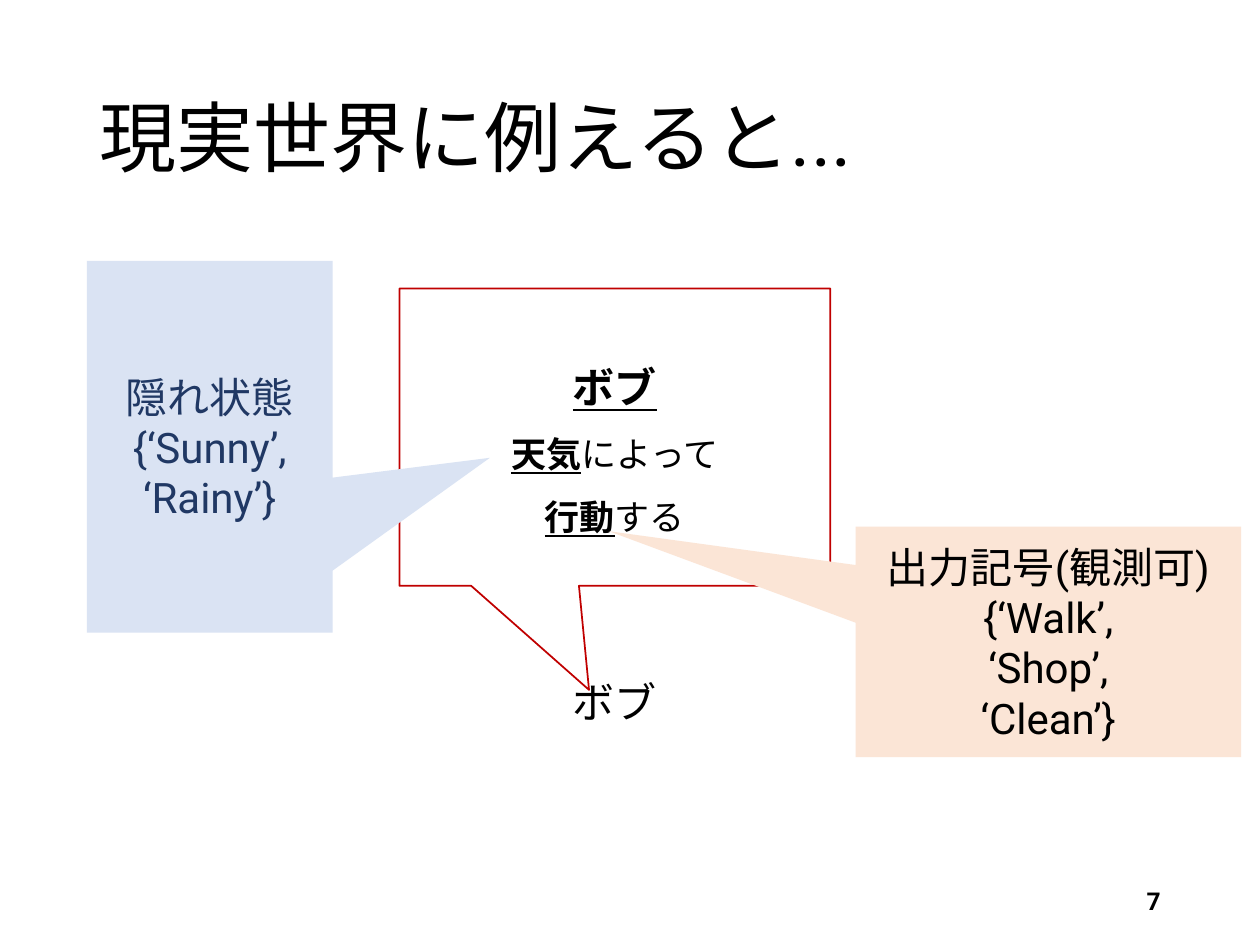
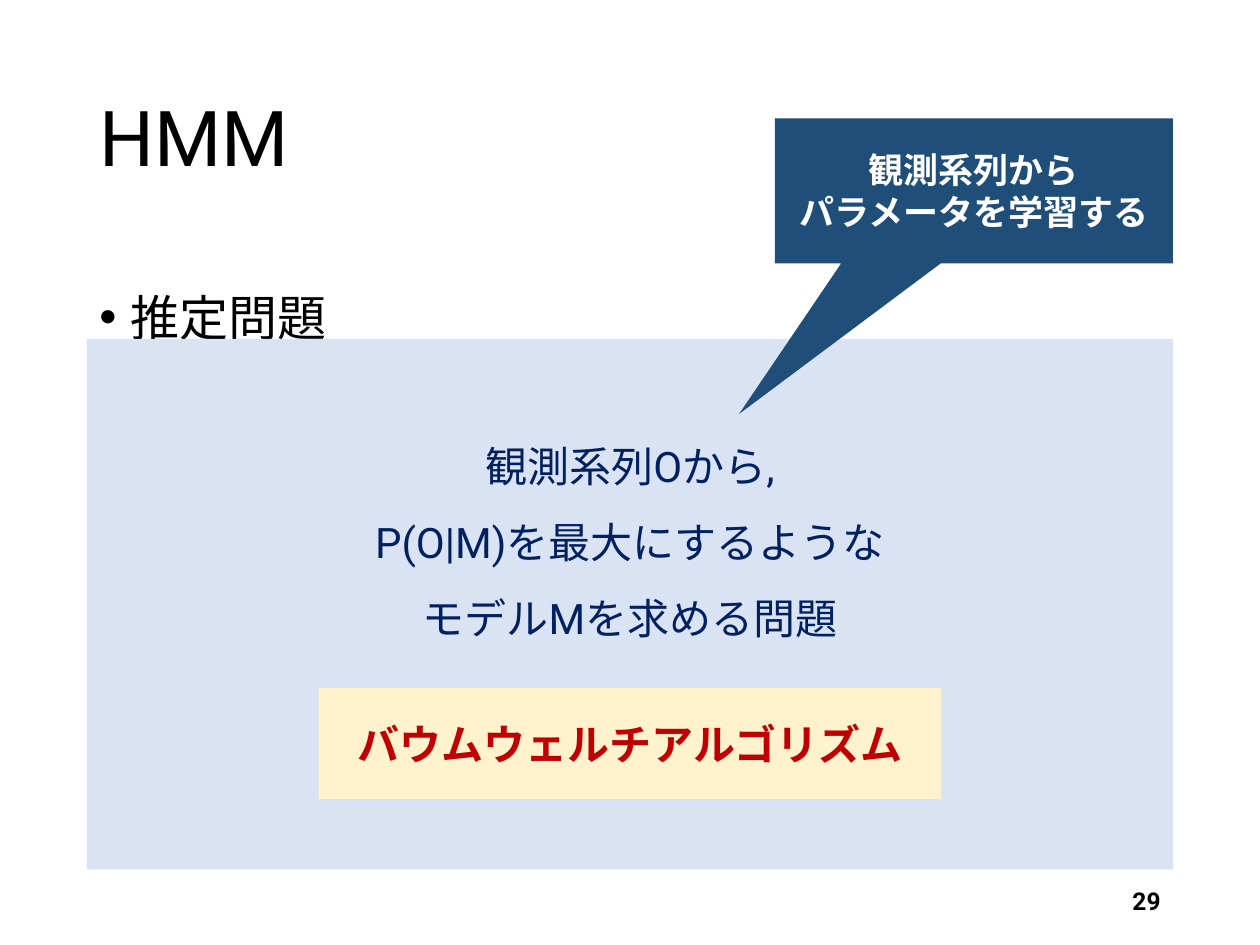
from dataclasses import dataclass

from lxml.etree import SubElement
from pptx import Presentation
from pptx.dml.color import RGBColor
from pptx.enum.lang import MSO_LANGUAGE_ID
from pptx.enum.shapes import MSO_SHAPE
from pptx.enum.text import MSO_ANCHOR, MSO_AUTO_SIZE, PP_ALIGN
from pptx.oxml.ns import qn
from pptx.util import Inches, Pt


@dataclass(frozen=True)
class Theme:
    font: str = "Roboto"
    black: str = "000000"
    white: str = "FFFFFF"
    red: str = "C00000"
    navy: str = "002060"
    slate: str = "203864"
    deep_blue: str = "1F4E79"
    pale_blue: str = "DAE3F3"
    pale_orange: str = "FBE5D6"
    pale_yellow: str = "FFF2CC"
    title: int = 44
    heading: int = 28
    body: int = 24
    small: int = 20
    footer: int = 14


THEME = Theme()
CELL = 0.1  # inches; the page is a grid of 100 columns by 75 rows
COLUMNS, ROWS = 100, 75


@dataclass(frozen=True)
class Box:
    left: float
    top: float
    width: float
    height: float

    def inner(self, column, row, width, height):
        """A box placed by columns and rows from this box's corner."""
        return Box(self.left + column, self.top + row, width, height)

    def place(self):
        sides = (self.left, self.top, self.width, self.height)
        return [Inches(side * CELL) for side in sides]


PAGE = Box(0, 0, COLUMNS, ROWS)
MARGIN = 6.9
INNER = COLUMNS - 2 * MARGIN
TITLE = PAGE.inner(MARGIN, 4, INNER, 14.5)
CONTENT = PAGE.inner(MARGIN, 20, INNER, 49)
NUMBER = PAGE.inner(COLUMNS - MARGIN - 22.5, 69.5, 22.5, 4)


# Text
def add_span(para, text, size, color, **marks):
    lines = text.split("\n")
    for index, line in enumerate(lines):
        if index:
            para.add_line_break()
        if not line:
            continue
        span = para.add_run()
        span.text = line
        values = {"name": THEME.font, "size": Pt(size),
                  "language_id": MSO_LANGUAGE_ID.JAPANESE, **marks}
        for name, value in values.items():
            setattr(span.font, name, value)
        span.font.color.rgb = RGBColor.from_string(color)


def write(shape, paragraphs, color=THEME.black, size=THEME.body,
          align=PP_ALIGN.CENTER, spacing=1.0, anchor=MSO_ANCHOR.MIDDLE):
    """Each paragraph is a string or a list of (text, format) spans."""
    frame = shape.text_frame
    settings = {"word_wrap": True, "auto_size": MSO_AUTO_SIZE.NONE,
                "vertical_anchor": anchor}
    for name, value in settings.items():
        setattr(frame, name, value)
    for index, spans in enumerate(paragraphs):
        para = frame.add_paragraph() if index else frame.paragraphs[0]
        para.alignment, para.line_spacing = align, spacing
        if isinstance(spans, str):
            spans = [(spans, {})]
        for text, changes in spans:
            add_span(para, text, **{"size": size, "color": color, **changes})
    return frame


def add_text(page, box, paragraphs, **style):
    return write(page.shapes.add_textbox(*box.place()), paragraphs, **style)


# Shapes
def add_panel(page, box, fill, paragraphs, line=None, pointer=None, **style):
    """A filled rectangle, or a callout when it has a pointer."""
    kind = MSO_SHAPE.RECTANGULAR_CALLOUT if pointer else MSO_SHAPE.RECTANGLE
    shape = page.shapes.add_shape(kind, *box.place())
    shape.shadow.inherit = False
    shape.fill.solid()
    shape.fill.fore_color.rgb = RGBColor.from_string(fill)
    if line:
        shape.line.color.rgb = RGBColor.from_string(line)
        shape.line.width = Pt(1)
    else:
        shape.line.fill.background()
    for index, share in enumerate(pointer or ()):
        shape.adjustments[index] = share
    return write(shape, paragraphs, **style)


def add_bullet(page, box, text):
    frame = add_text(page, box, [text], size=THEME.heading, spacing=1.5,
                     align=PP_ALIGN.LEFT, anchor=MSO_ANCHOR.TOP)
    para = frame.paragraphs[0]
    para.space_before = Pt(10)
    properties = para._p.get_or_add_pPr()
    properties.set("marL", str(Inches(0.25)))
    properties.set("indent", str(-Inches(0.25)))
    SubElement(properties, qn("a:buFont"), typeface="Arial")
    SubElement(properties, qn("a:buChar"), char="•")


# Shared page regions
def add_page(deck, title, number):
    page = deck.slides.add_slide(deck.slide_layouts[5])
    heading = page.shapes.title
    sides = ("left", "top", "width", "height")
    for name, value in zip(sides, TITLE.place()):
        setattr(heading, name, value)
    write(heading, [title], size=THEME.title, align=PP_ALIGN.LEFT, spacing=0.9)
    add_text(page, NUMBER, [[(str(number), {"bold": True})]],
             size=THEME.footer, align=PP_ALIGN.RIGHT)
    return page


# Bob's behaviour, with callouts for states and symbols
def fill_example(page, box):
    strong = {"bold": True, "underline": True}
    small = {"size": THEME.small}
    add_text(page, box.inner(35.8, 33.9, 12.2, 3.6), ["ボブ"])
    add_panel(page, box.inner(24.8, 2.9, 34.2, 23.6), THEME.white,
              [[("ボブ", strong)],
               [("天気", strong | small), ("によって\n", small),
                ("行動", strong | small), ("する", small)]],
              line=THEME.red, pointer=(-0.06, 0.85), spacing=1.5)
    add_panel(page, box.inner(0, 0.7, 19.5, 29.5), THEME.pale_blue,
              ["隠れ状態", "{‘Sunny’,", "‘Rainy’}"],
              pointer=(1.14, 0.03), color=THEME.slate)
    add_panel(page, box.inner(61, 21.8, 30.6, 18.3), THEME.pale_orange,
              ["出力記号(観測可)", "{‘Walk’,", "‘Shop’,", "‘Clean’}"],
              pointer=(-1.14, -0.48))


# The estimation problem and the algorithm that solves it
def fill_problem(page, box):
    add_bullet(page, box, "推定問題")
    problem = add_panel(
        page, box.inner(0, 6.9, box.width, 42.1), THEME.pale_blue,
        ["観測系列Oから,\nP(O|M)を最大にするような\nモデルMを求める問題"],
        color=THEME.navy, spacing=1.5)
    problem.margin_bottom = Inches(1.24)  # room for the algorithm
    width = 49.4
    add_panel(page, box.inner((box.width - width) / 2, 34.6, width, 8.8),
              THEME.pale_yellow,
              [[("バウムウェルチアルゴリズム", {"bold": True})]],
              color=THEME.red)
    width = 31.6
    add_panel(page, box.inner(box.width - width, -10.6, width, 11.5),
              THEME.deep_blue,
              [[("観測系列から\nパラメータを学習する", {"bold": True})]],
              pointer=(-0.59, 1.54), color=THEME.white, size=THEME.small)


def main():
    deck = Presentation()
    deck.slide_width = Inches(COLUMNS * CELL)
    deck.slide_height = Inches(ROWS * CELL)
    fill_example(add_page(deck, "現実世界に例えると...", 7), CONTENT)
    fill_problem(add_page(deck, "HMM", 29), CONTENT)
    deck.save("out.pptx")


if __name__ == "__main__":
    main()
